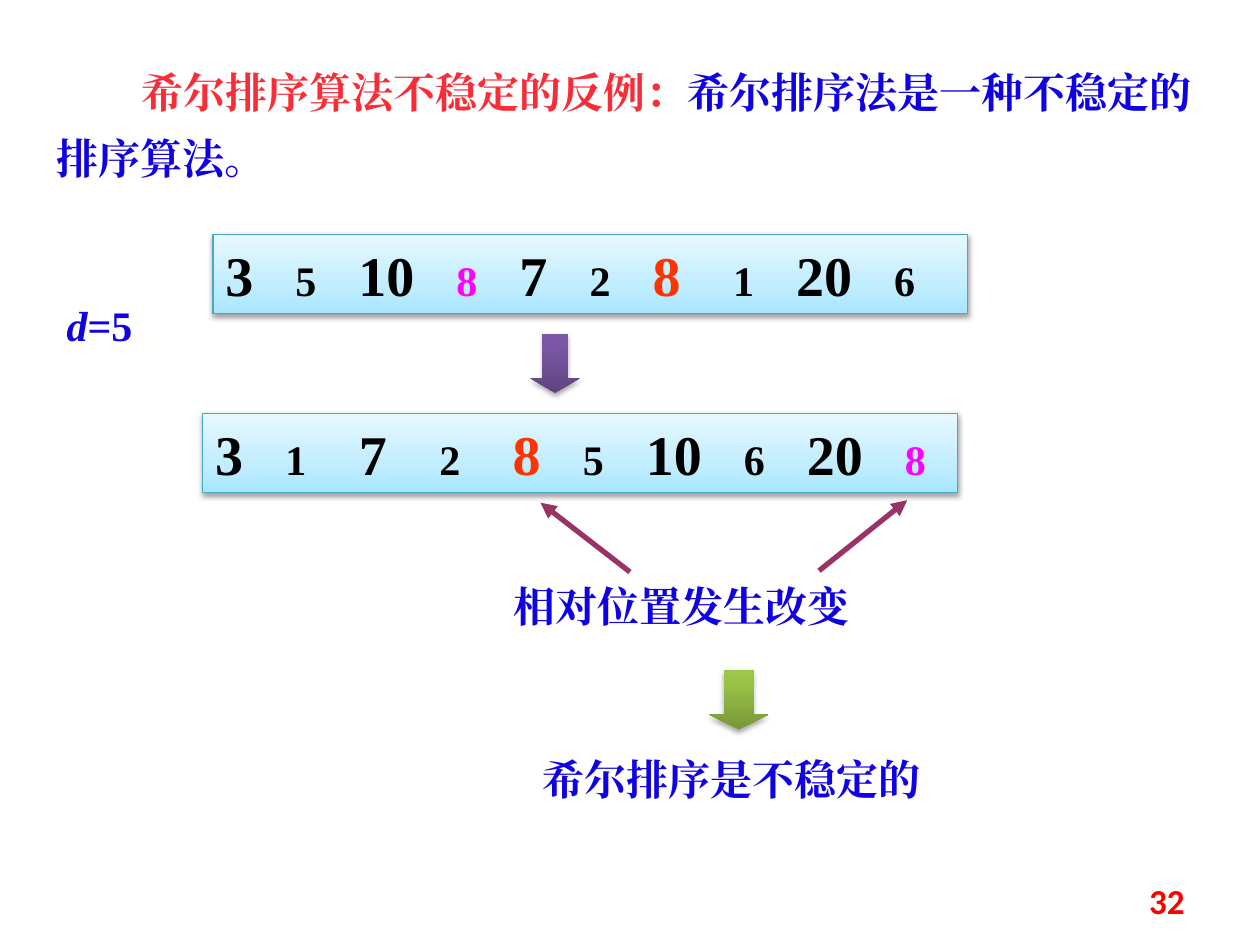
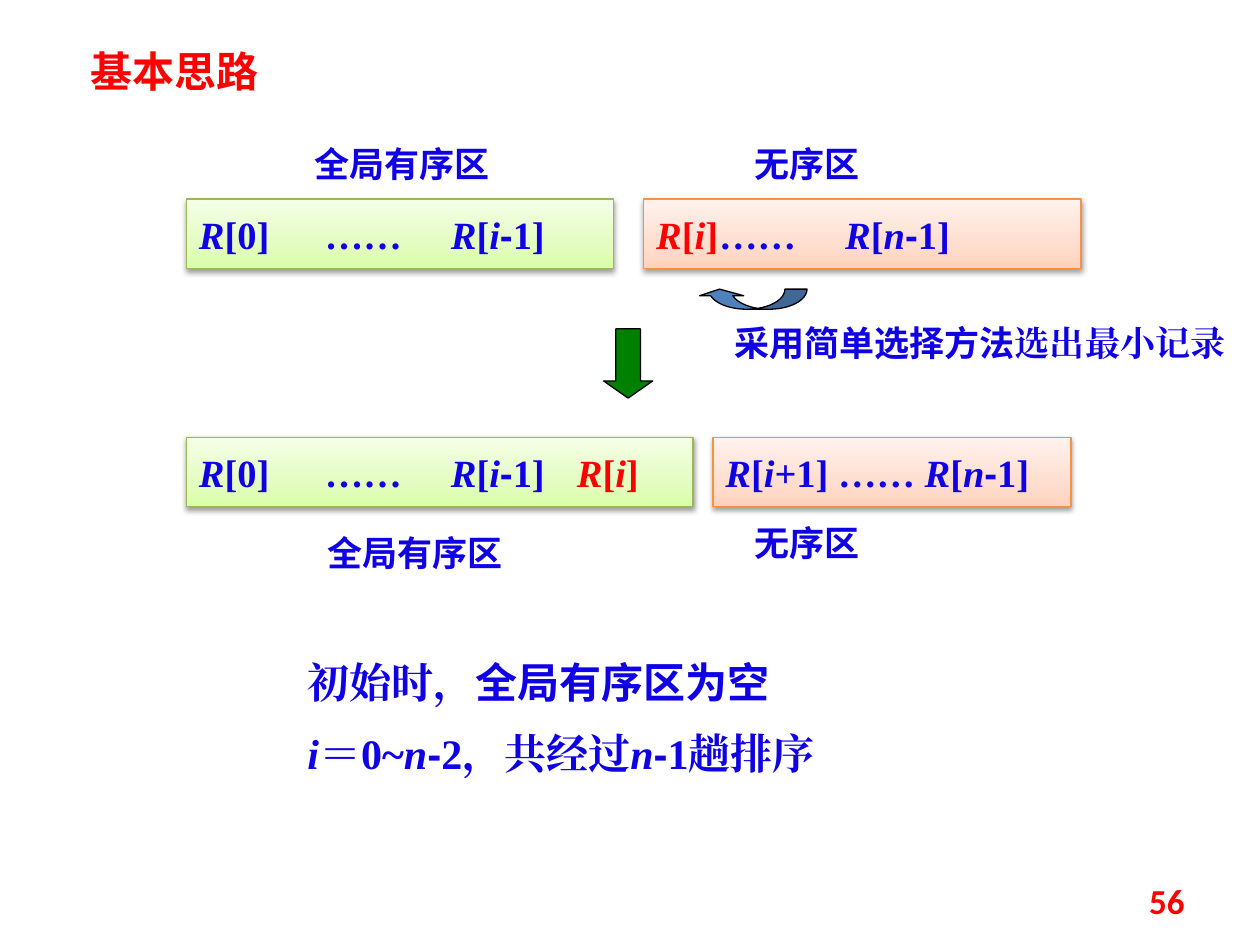
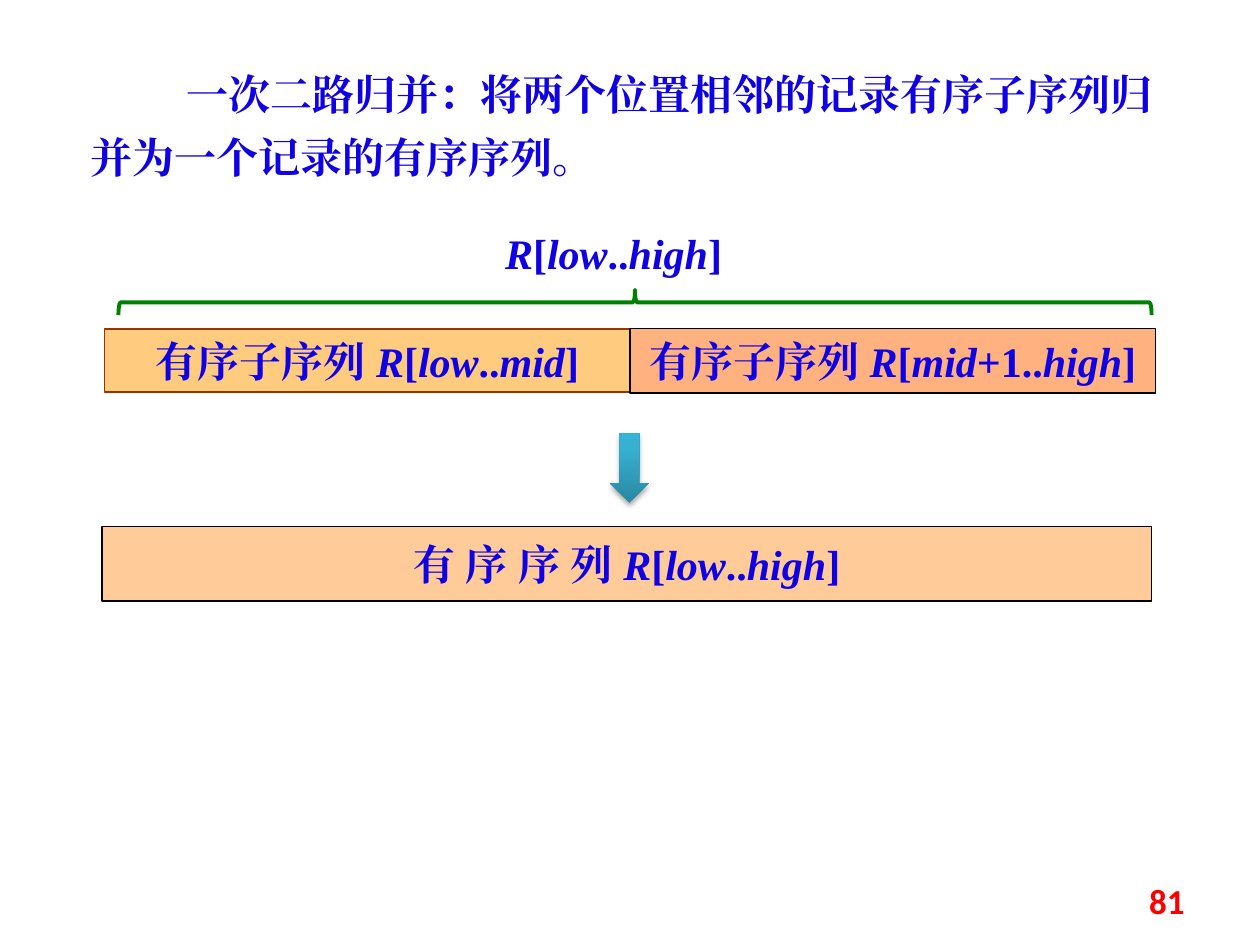
from dataclasses import dataclass, replace

from lxml.etree import SubElement
from pptx import Presentation
from pptx.dml.color import RGBColor
from pptx.enum.shapes import MSO_CONNECTOR, MSO_SHAPE
from pptx.enum.text import MSO_ANCHOR, MSO_AUTO_SIZE, PP_ALIGN
from pptx.oxml.ns import qn
from pptx.util import Emu, Pt

EMU_PER_PX = 9144


@dataclass(frozen=True)
class Look:
    size: int
    colour: str
    font: str = "Times New Roman"
    bold: bool = True
    italic: bool = False


@dataclass(frozen=True)
class Theme:
    ink: str = "000000"
    blue: str = "1000E4"
    red: str = "FF0000"
    title_red: str = "F92D37"
    orange_red: str = "FF3300"
    magenta: str = "FF00FF"
    plum: str = "993366"
    green: str = "008000"
    steel: str = "4F81BD"
    brown: str = "993300"
    peach: str = "FFCC99"
    amber: str = "FF9900"
    orange: str = "FF6600"
    sky_fill: tuple = ((0, "A7E6FF"), (35, "C1EDFF"), (100, "E7F8FF"))
    sky_line: str = "46AAC5"
    lime_fill: tuple = ((0, "DAFDA7"), (35, "E4FCC2"), (100, "F5FFE7"))
    lime_line: str = "98B955"
    rose_fill: tuple = ((0, "FFD2BD"), (35, "FFDED0"), (100, "FFF2ED"))
    rose_line: str = "F69240"
    purple_arrow: tuple = ((0, "5F4480"), (80, "7B58A6"), (100, "7C57A8"))
    olive_arrow: tuple = ((0, "779737"), (80, "9BC348"), (100, "9DC746"))
    teal_arrow: tuple = ((0, "2A88A2"), (80, "37B1D2"), (100, "34B4D6"))
    cjk: str = "Noto Sans CJK SC"
    hyphen: str = "Arial"
    number: str = "Calibri"


THEME = Theme()
TEXT = Look(24, THEME.blue)
HEADING = Look(24, THEME.red, THEME.cjk)
LABEL = Look(20, THEME.blue, THEME.cjk)
RECORD = Look(22, THEME.blue)
RED_RECORD = replace(RECORD, colour=THEME.red)
BIG = Look(32, THEME.ink)
SMALL = Look(24, THEME.ink)
BIG_EIGHT = replace(BIG, colour=THEME.orange_red)
SMALL_EIGHT = replace(SMALL, colour=THEME.magenta)
PAGE_NUMBER = Look(20, THEME.red, THEME.number)


def px(*lengths):
    return [Emu(length * EMU_PER_PX) for length in lengths]


def rgb(colour):
    return RGBColor.from_string(colour)


def spans(markup, look):
    pieces = []
    for index, piece in enumerate(markup.split("_")):
        for position, part in enumerate(piece.split("-")):
            if position:
                pieces.append(("-", replace(look, font=THEME.hyphen)))
            if part:
                pieces.append((part, replace(look, italic=index % 2 == 1)))
    return pieces


def add_span(para, text, look):
    span = para.add_run()
    span.text = text
    font = span.font
    font.size = Pt(look.size)
    font.bold = look.bold
    font.italic = look.italic
    font.color.rgb = rgb(look.colour)
    font.name = look.font
    SubElement(font._element, qn("a:ea")).set("typeface", look.font)


def write(para, pieces, align=PP_ALIGN.LEFT, tabs=(), indent=0):
    settings = para._p.get_or_add_pPr()
    settings.set("marL", "0")
    settings.set("indent", str(indent * EMU_PER_PX))
    SubElement(settings, qn("a:buNone"))
    if tabs:
        stops = SubElement(settings, qn("a:tabLst"))
        for position in tabs:
            SubElement(stops, qn("a:tab"), pos=str(position * EMU_PER_PX), algn="l")
    para.alignment = align
    para.space_before = Pt(0)
    for text, look in pieces:
        add_span(para, text, look)


def place(shape, at):
    shape.left, shape.top, shape.width, shape.height = px(*at)
    frame = shape.text_frame
    frame.word_wrap = True
    frame.vertical_anchor = MSO_ANCHOR.TOP
    frame.auto_size = MSO_AUTO_SIZE.SHAPE_TO_FIT_TEXT
    return frame


def set_title(page, at, pieces, indent=0, line_spacing=1.0):
    para = place(page.shapes.title, at).paragraphs[0]
    write(para, pieces, indent=indent)
    para.line_spacing = line_spacing


def set_body(page, at, lines):
    frame = place(page.placeholders[1], at)
    for index, pieces in enumerate(lines):
        para = frame.add_paragraph() if index else frame.paragraphs[0]
        write(para, pieces)
        if index:
            para.space_before = Pt(12)


def add_label(page, at, pieces):
    box = page.shapes.add_textbox(*px(*at))
    write(place(box, at).paragraphs[0], pieces)


def add_page_number(page, number):
    box = page.shapes.add_textbox(*px(717, 695, 233, 40))
    frame = box.text_frame
    frame.word_wrap = True
    frame.vertical_anchor = MSO_ANCHOR.MIDDLE
    write(frame.paragraphs[0], [(str(number), PAGE_NUMBER)], PP_ALIGN.RIGHT)


def paint(shape, fill, opacity=100):
    if isinstance(fill, tuple):
        shape.fill.gradient()
        shape.fill.gradient_angle = 90
        stops = shape._element.spPr.find(".//" + qn("a:gsLst"))
        for stop in list(stops):
            stops.remove(stop)
        for position, colour in fill:
            stop = SubElement(stops, qn("a:gs"), pos=str(position * 1000))
            SubElement(stop, qn("a:srgbClr"), val=colour)
        return
    shape.fill.solid()
    shape.fill.fore_color.rgb = rgb(fill)
    if opacity < 100:
        colour = shape._element.spPr.find(".//" + qn("a:srgbClr"))
        SubElement(colour, qn("a:alpha"), val=str(opacity * 1000))


def cast_shadow(shape, opacity, distance):
    effects = shape._element.spPr.find(qn("a:effectLst"))
    shadow = SubElement(effects, qn("a:outerShdw"), blurRad=str(Pt(3.1)),
                        dist=str(Pt(distance)), dir="5400000", rotWithShape="0")
    colour = SubElement(shadow, qn("a:srgbClr"), val=THEME.ink)
    SubElement(colour, qn("a:alpha"), val=str(opacity * 1000))


def add_figure(page, kind, at, fill=None, line=None, weight=0.75, opacity=100,
               adjust=(), rotation=0):
    shape = page.shapes.add_shape(kind, *px(*at))
    shape.shadow.inherit = False
    shape.rotation = rotation
    for index, value in enumerate(adjust):
        shape.adjustments[index] = value
    if fill:
        paint(shape, fill, opacity)
    else:
        shape.fill.background()
    if line:
        shape.line.color.rgb = rgb(line)
        shape.line.width = Pt(weight)
    else:
        shape.line.fill.background()
    return shape


def add_panel(page, at, pieces, fill, line, align=PP_ALIGN.LEFT, tabs=(), **style):
    shape = add_figure(page, MSO_SHAPE.RECTANGLE, at, fill, line, **style)
    if isinstance(fill, tuple):
        cast_shadow(shape, 38, 1.6)
    frame = shape.text_frame
    frame.word_wrap = bool(tabs)
    frame.vertical_anchor = MSO_ANCHOR.MIDDLE
    write(frame.paragraphs[0], pieces, align, tabs)


def add_down_arrow(page, at, fill, head, line=None):
    shape = add_figure(page, MSO_SHAPE.DOWN_ARROW, at, fill, line, adjust=(0.5, head))
    if not line:
        cast_shadow(shape, 35, 1.8)


def add_pointer(page, start, end):
    pointer = page.shapes.add_connector(MSO_CONNECTOR.STRAIGHT, *px(*start, *end))
    pointer.line.color.rgb = rgb(THEME.plum)
    pointer.line.width = Pt(3)
    SubElement(pointer.line._get_or_add_ln(), qn("a:tailEnd"), type="triangle")
    SubElement(pointer._element.spPr, qn("a:effectLst"))


def add_page(deck, layout, number):
    page = deck.slides.add_slide(deck.slide_layouts[layout])
    add_page_number(page, number)
    return page


def build_unstable_example(deck):
    page = add_page(deck, 5, 32)
    set_title(page, (35, 36, 945, 109),
              spans("希尔排序算法不稳定的反例：", replace(TEXT, colour=THEME.title_red))
              + spans("希尔排序法是一种不稳定的排序算法。", TEXT),
              indent=67, line_spacing=1.3)
    before = [("3", BIG), ("　5　", SMALL), ("10", BIG), ("　", SMALL),
              ("8　", SMALL_EIGHT), ("7", BIG), ("　2　", SMALL), ("8", BIG_EIGHT),
              ("　 1　", SMALL), ("20", BIG), ("　6", SMALL)]
    after = [("3", BIG), ("　1　 ", SMALL), ("7", BIG), ("　 2　 ", SMALL),
             ("8", BIG_EIGHT), ("　5　", SMALL), ("10", BIG), ("　6　", SMALL),
             ("20", BIG), ("　", SMALL), ("8", SMALL_EIGHT)]
    for left, top, row in ((169, 186, before), (161, 328, after)):
        add_panel(page, (left, top, 599, 63), row, THEME.sky_fill, THEME.sky_line)
    add_label(page, (43, 233, 90, 50), spans("_d_=5", TEXT))
    add_down_arrow(page, (421, 265, 39, 47), THEME.purple_arrow, 0.3)
    add_pointer(page, (500, 454), (429, 399))
    add_pointer(page, (650, 453), (720, 397))
    add_label(page, (398, 456, 370, 50), spans("相对位置发生改变", TEXT))
    add_down_arrow(page, (563, 532, 47, 47), THEME.olive_arrow, 0.25)
    add_label(page, (421, 593, 355, 50), spans("希尔排序是不稳定的", TEXT))


def build_selection_idea(deck):
    page = add_page(deck, 1, 56)
    set_title(page, (62, 31, 180, 50), spans("基本思路", HEADING))
    lime = (THEME.lime_fill, THEME.lime_line)
    rose = (THEME.rose_fill, THEME.rose_line)
    add_panel(page, (148, 158, 339, 55), spans("_R_[0]\t……\t_R_[_i_-1]", RECORD),
              *lime, tabs=(102, 201))
    add_panel(page, (511, 158, 347, 55),
              spans("_R_[_i_]", RED_RECORD) + spans("\t……\t_R_[_n_-1]", RECORD),
              *rose, tabs=(103, 210))
    add_panel(page, (148, 347, 402, 55),
              spans("_R_[0]\t……\t_R_[_i_-1]\t", RECORD) + spans("_R_[_i_]", RED_RECORD),
              *lime, tabs=(87, 194, 291))
    add_panel(page, (566, 347, 284, 55), spans("_R_[_i_+1] …… _R_[_n_-1]", RECORD), *rose)
    for left, top, width, name in ((240, 108, 169, "全局有序区"), (589, 108, 126, "无序区"),
                                   (250, 417, 171, "全局有序区"), (589, 409, 126, "无序区")):
        add_label(page, (left, top, width, 44), spans(name, LABEL))
    add_figure(page, MSO_SHAPE.CURVED_LEFT_ARROW, (589, 194, 16, 87), THEME.steel,
               THEME.ink, adjust=(1.1, 2.19, 0.33), rotation=90)
    add_down_arrow(page, (479, 261, 39, 55), THEME.green, 0.35, THEME.ink)
    add_label(page, (573, 250, 419, 44),
              spans("采用简单选择方法", LABEL) + spans("选出最小记录", replace(TEXT, size=20)))
    set_body(page, (234, 516, 543, 111), [
        spans("初始时，", TEXT) + spans("全局有序区为空", replace(TEXT, font=THEME.cjk)),
        spans("_i_＝0~_n_-2，共经过_n_-1趟排序", TEXT)])


def build_two_way_merge(deck):
    page = add_page(deck, 5, 81)
    set_title(page, (62, 39, 877, 111),
              spans("一次二路归并：将两个位置相邻的记录有序子序列归并为一个记录的有序序列。", TEXT),
              indent=76, line_spacing=1.25)
    add_label(page, (391, 176, 211, 50), spans("_R_[_low_.._high_]", TEXT))
    add_figure(page, MSO_SHAPE.RIGHT_BRACE, (494, -170, 20, 820), line=THEME.green,
               weight=2.25, rotation=270)
    add_panel(page, (83, 261, 417, 50), spans("有序子序列 _R_[_low_.._mid_]", TEXT),
              THEME.amber, THEME.brown, PP_ALIGN.CENTER, weight=1, opacity=50)
    add_panel(page, (500, 261, 417, 51), spans("有序子序列 _R_[_mid_+1.._high_]", TEXT),
              THEME.orange, THEME.ink, PP_ALIGN.CENTER, opacity=50)
    add_down_arrow(page, (484, 344, 31, 55), THEME.teal_arrow, 0.5)
    add_panel(page, (81, 418, 833, 59), spans("有 序 序 列 _R_[_low_.._high_]", TEXT),
              THEME.peach, THEME.ink, PP_ALIGN.CENTER)


def main():
    deck = Presentation()
    deck.slide_width, deck.slide_height = px(1000, 750)
    build_unstable_example(deck)
    build_selection_idea(deck)
    build_two_way_merge(deck)
    deck.save("out.pptx")


if __name__ == "__main__":
    main()
